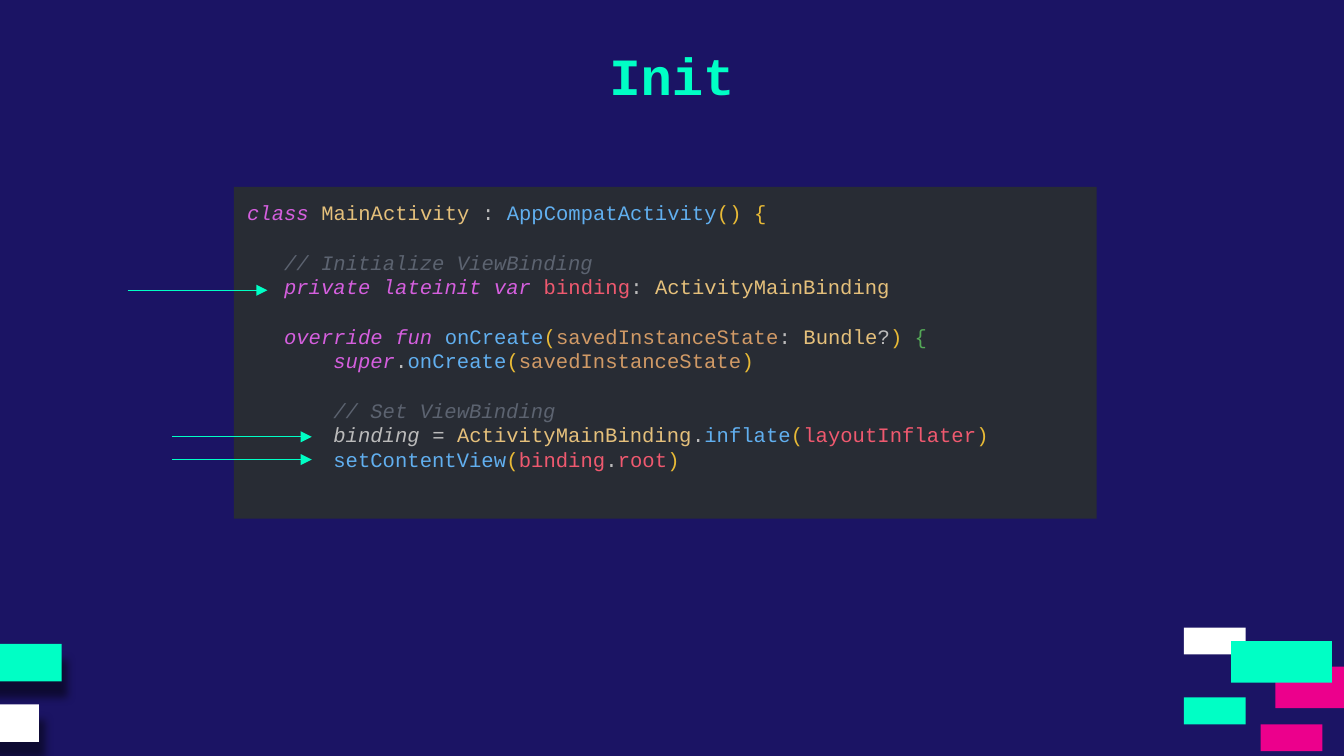
from pptx import Presentation, util as u
from pptx.dml.color import RGBColor
from pptx.enum import shapes, text
from pptx.oxml import parse_xml
from pptx.oxml.ns import nsdecls

FONT = "Courier New"
SIZE = 11
LEAD = 13.2
CHAR = SIZE * 0.6
WIDTH = 10
HEIGHT = WIDTH * 9 / 16
MINT, PINK, WHITE = "00FFC5", "EC008C", "FFFFFF"

SHADED = [(-0.27, 4.79, 0.73, 0.28, MINT), (-0.44, 5.24, 0.73, 0.28, WHITE)]
BLOCKS = [
    (9.49, 4.96, 0.75, 0.31, PINK),
    (8.81, 4.67, 0.46, 0.2, WHITE),
    (8.81, 5.19, 0.46, 0.2, MINT),
    (9.38, 5.39, 0.46, 0.2, PINK),
    (9.16, 4.77, 0.75, 0.31, MINT),
]
ARROWS = [(0.95, 2.16), (1.28, 3.25), (1.28, 3.42)]
REACH = 1.04

STYLES = {
    "key": ("D55FDE", True),
    "note": ("5C6370", True),
    "self": ("BBBBBB", True),
    "mark": ("BBBBBB", False),
    "type": ("E5C07B", False),
    "call": ("61AFEF", False),
    "brace": ("E8BA36", False),
    "inner": ("54A857", False),
    "field": ("EF596F", False),
    "param": ("D19A66", False),
}
# (blank lines above, indent in characters, runs)
CODE = [
    (0, 0, [("class ", "key"), ("MainActivity ", "type"), (": ", "mark"),
            ("AppCompatActivity", "call"), ("() {", "brace")]),
    (1, 3, [("// Initialize ViewBinding", "note")]),
    (0, 3, [("private lateinit var ", "key"), ("binding", "field"),
            (": ", "mark"), ("ActivityMainBinding", "type")]),
    (1, 3, [("override fun ", "key"), ("onCreate", "call"), ("(", "brace"),
            ("savedInstanceState", "param"), (": ", "mark"), ("Bundle", "type"),
            ("?", "mark"), (") ", "brace"), ("{", "inner")]),
    (0, 7, [("super", "key"), (".", "mark"), ("onCreate", "call"), ("(", "brace"),
            ("savedInstanceState", "param"), (")", "brace")]),
    (1, 7, [("// Set ViewBinding", "note")]),
    (0, 7, [("binding ", "self"), ("= ", "mark"), ("ActivityMainBinding", "type"),
            (".", "mark"), ("inflate", "call"), ("(", "brace"),
            ("layoutInflater", "field"), (")", "brace")]),
    (0, 7, [("setContentView", "call"), ("(", "brace"), ("binding", "field"),
            (".", "mark"), ("root", "field"), (")", "brace")]),
]


def color(code):
    return RGBColor.from_string(code)


def write(para, words, size=SIZE, fill=WHITE, bold=False, italic=False):
    run = para.add_run()
    run.text = words
    font = run.font
    font.name, font.size = FONT, u.Pt(size)
    font.bold, font.italic = bold, italic
    font.color.rgb = color(fill)


def block(slide, x, y, w, h, fill):
    box = slide.shapes.add_shape(
        shapes.MSO_SHAPE.RECTANGLE, *map(u.Inches, (x, y, w, h)))
    box.shadow.inherit = False
    box.fill.solid()
    box.fill.fore_color.rgb = color(fill)
    box.line.fill.background()
    return box


def shade(box):
    effects = box._element.spPr.find(
        "{http://schemas.openxmlformats.org/drawingml/2006/main}effectLst")
    effects.append(parse_xml(
        f'<a:outerShdw {nsdecls("a")} blurRad="{u.Pt(4.5)}" dist="{u.Pt(9)}" '
        f'dir="{70 * 60000}" algn="bl" rotWithShape="0">'
        '<a:srgbClr val="000000"><a:alpha val="50000"/></a:srgbClr>'
        '</a:outerShdw>'))


def frame(box, anchor):
    area = box.text_frame
    area.word_wrap = True
    area.vertical_anchor = anchor
    area.margin_left = area.margin_right = u.Inches(0.1)
    area.margin_top = area.margin_bottom = u.Inches(0.1)
    return area


def arrow(slide, x, y):
    line = slide.shapes.add_connector(
        shapes.MSO_CONNECTOR.STRAIGHT,
        *map(u.Inches, (x, y, x + REACH, y)))
    line.line.color.rgb = color(MINT)
    line.line.width = u.Pt(0.75)
    line.line._get_or_add_ln().append(
        parse_xml(f'<a:tailEnd {nsdecls("a")} type="triangle"/>'))
    line._element.spPr.append(parse_xml(f'<a:effectLst {nsdecls("a")}/>'))


def main():
    deck = Presentation()
    deck.slide_width, deck.slide_height = u.Inches(WIDTH), u.Inches(HEIGHT)
    slide = deck.slides.add_slide(deck.slide_layouts[6])
    slide.background.fill.solid()
    slide.background.fill.fore_color.rgb = color("1B1464")

    for spot in SHADED:
        shade(block(slide, *spot))
    for spot in BLOCKS:
        block(slide, *spot)

    title = slide.shapes.add_textbox(*map(u.Inches, (3.11, 0.22, 3.78, 0.73)))
    para = frame(title, text.MSO_ANCHOR.MIDDLE).paragraphs[0]
    para.alignment = text.PP_ALIGN.CENTER
    para.line_spacing = 0.9
    write(para, "Init", size=28, fill=MINT, bold=True)

    panel = block(slide, 1.74, 1.39, 6.42, 2.47, "282C34")
    area = frame(panel, text.MSO_ANCHOR.TOP)
    for row, (gap, indent, runs) in enumerate(CODE):
        para = area.add_paragraph() if row else area.paragraphs[0]
        para.alignment = text.PP_ALIGN.LEFT
        para.line_spacing = u.Pt(LEAD)
        para.space_before = u.Pt(gap * LEAD)
        props = para._p.get_or_add_pPr()
        props.set("marL", str(u.Pt(indent * CHAR)))
        props.set("indent", "0")
        for words, style in runs:
            fill, italic = STYLES[style]
            write(para, words, fill=fill, italic=italic)

    for spot in ARROWS:
        arrow(slide, *spot)

    deck.save("out.pptx")


if __name__ == "__main__":
    main()
